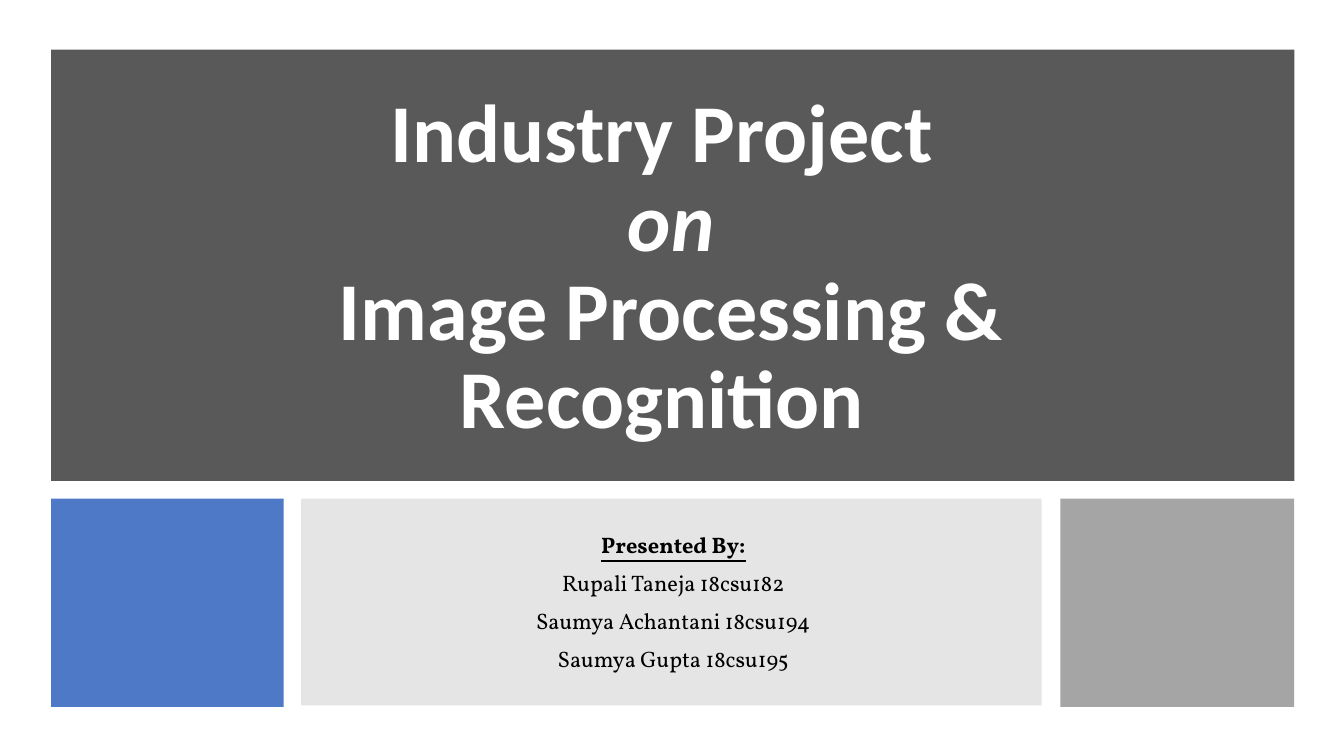
"""Build the title slide of an industry project on image processing."""
from dataclasses import dataclass

from lxml import etree
from pptx import Presentation
from pptx.dml.color import RGBColor
from pptx.enum.shapes import MSO_SHAPE
from pptx.enum.text import MSO_ANCHOR, MSO_AUTO_SIZE, PP_ALIGN
from pptx.oxml.ns import qn
from pptx.slide import Slide
from pptx.text.text import _Paragraph, _Run
from pptx.util import Pt

RECTANGLE = MSO_SHAPE.RECTANGLE
CENTER = PP_ALIGN.CENTER
MIDDLE, TOP = MSO_ANCHOR.MIDDLE, MSO_ANCHOR.TOP
FIT_SHAPE, NO_FIT = MSO_AUTO_SIZE.SHAPE_TO_FIT_TEXT, MSO_AUTO_SIZE.NONE


@dataclass(frozen=True)
class Theme:
    banner: str = "595959"
    blue: str = "4472C4"
    panel: str = "7F7F7F"
    gray: str = "A5A5A5"
    title_color: str = "FFFFFF"
    body_color: str = "000000"
    title_font: str = "Calibri"
    body_font: str = "Vollkorn"
    title_size: float = 44
    body_size: float = 12
    space_after: float = 6


@dataclass(frozen=True)
class Area:
    left: float
    top: float
    width: float
    height: float

    def lengths(self) -> tuple[Pt, Pt, Pt, Pt]:
        return Pt(self.left), Pt(self.top), Pt(self.width), Pt(self.height)


@dataclass(frozen=True)
class Block:
    area: Area
    color: str
    opacity: int = 100


@dataclass(frozen=True)
class TextStyle:
    font: str
    size: float
    color: str


THEME = Theme()
TITLE_STYLE = TextStyle(THEME.title_font, THEME.title_size, THEME.title_color)
BODY_STYLE = TextStyle(THEME.body_font, THEME.body_size, THEME.body_color)

MARGIN = 27.4
ROW_TOP = 267.1
BLOCKS = (
    Block(Area(MARGIN, 26.6, 666, 231.1), THEME.banner),
    Block(Area(MARGIN, ROW_TOP, 124.6, 111.6), THEME.blue, 95),
    Block(Area(161.3, ROW_TOP, 396.7, 110.9), THEME.panel, 20),
    Block(Area(568.1, ROW_TOP, 125.3, 111.6), THEME.gray),
)
TITLE_AREA = Area(64.1, 90.7, 591.1, 154.8)
TITLE_BOTTOM_INSET = 51.5
TITLE_LINES = (("Industry Project ", False), ("on", True),
               ("Image Processing & Recognition ", False))
PRESENTERS_AREA = Area(257.8, 280.8, 205.9, 83.5)
PRESENTERS_HEADING = "Presented By:"
PRESENTERS = ("Rupali Taneja 18csu182", "Saumya Achantani 18csu194", "Saumya Gupta 18csu195")


def add_block(page: Slide, block: Block) -> None:
    shape = page.shapes.add_shape(RECTANGLE, *block.area.lengths())
    shape.shadow.inherit = False
    shape.line.fill.background()
    shape.fill.solid()
    shape.fill.fore_color.rgb = RGBColor.from_string(block.color)
    if block.opacity < 100:
        color = shape.fill._xPr.find(qn("a:solidFill"))[0]
        etree.SubElement(color, qn("a:alpha"), val=str(block.opacity * 1000))


def add_span(para: _Paragraph, text: str, style: TextStyle) -> _Run:
    span = para.add_run()
    span.text = text
    span.font.name = style.font
    span.font.size = Pt(style.size)
    span.font.color.rgb = RGBColor.from_string(style.color)
    return span


def format_paragraph(para: _Paragraph) -> None:
    para.alignment = CENTER
    para.space_after = Pt(THEME.space_after)


def add_title(page: Slide) -> None:
    frame = page.shapes.add_textbox(*TITLE_AREA.lengths()).text_frame
    frame.word_wrap = True
    frame.auto_size = NO_FIT
    frame.vertical_anchor = MIDDLE
    frame.margin_bottom = Pt(TITLE_BOTTOM_INSET)
    para = frame.paragraphs[0]
    format_paragraph(para)
    para.line_spacing = 0.9
    for index, (text, italic) in enumerate(TITLE_LINES):
        if index:
            para.add_line_break()
        span = add_span(para, text, TITLE_STYLE)
        span.font.bold = True
        span.font.italic = italic


def add_presenters(page: Slide) -> None:
    frame = page.shapes.add_textbox(*PRESENTERS_AREA.lengths()).text_frame
    frame.word_wrap = True
    frame.auto_size = FIT_SHAPE
    frame.vertical_anchor = TOP
    heading = frame.paragraphs[0]
    format_paragraph(heading)
    span = add_span(heading, PRESENTERS_HEADING, BODY_STYLE)
    span.font.bold = True
    span.font.underline = True
    for presenter in PRESENTERS:
        para = frame.add_paragraph()
        format_paragraph(para)
        add_span(para, presenter, BODY_STYLE)


def main() -> None:
    deck = Presentation()
    deck.slide_width, deck.slide_height = Pt(720), Pt(405)
    page = deck.slides.add_slide(deck.slide_layouts[6])
    for block in BLOCKS:
        add_block(page, block)
    add_title(page)
    add_presenters(page)
    deck.save("out.pptx")


if __name__ == "__main__":
    main()
